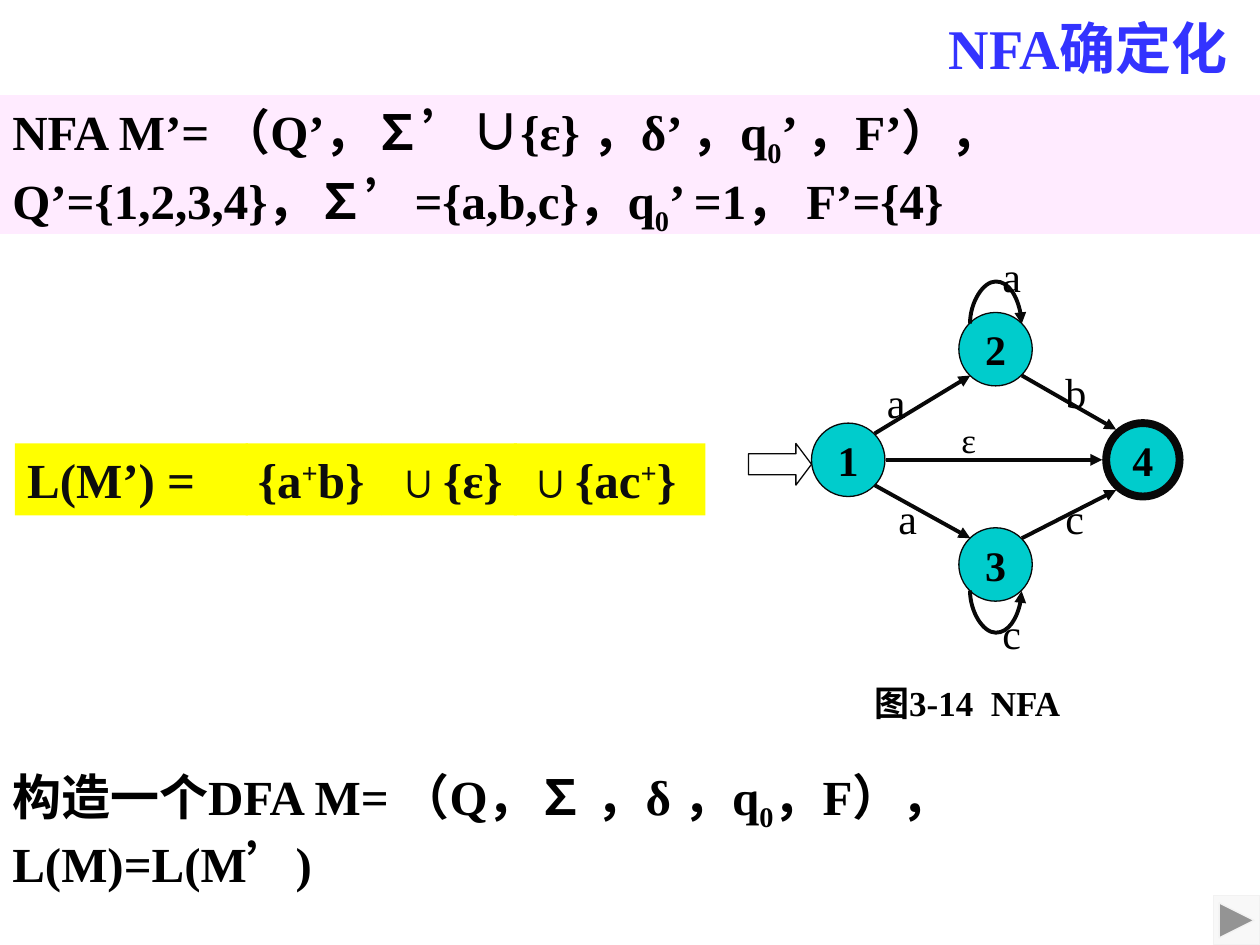
"""Build the slide on making an NFA deterministic, with its state diagram."""
from lxml import etree
from pptx import Presentation, util as u
from pptx.dml.color import RGBColor
from pptx.enum import shapes, text
from pptx.oxml.ns import qn

color = RGBColor.from_string


def write(shape, lines, size, ink="000000", bold=True, baseline=0, wrap=True):
    """Fill a shape with lines; every second part between bars is raised or lowered."""
    frame = shape.text_frame
    frame.word_wrap = wrap
    frame.vertical_anchor = text.MSO_ANCHOR.TOP
    for index, line in enumerate(lines):
        para = frame.paragraphs[0] if index == 0 else frame.add_paragraph()
        para.alignment = text.PP_ALIGN.LEFT
        for number, part in enumerate(line.split("|")):
            span = para.add_run()
            span.text = part
            span.font.size = u.Pt(size)
            span.font.bold = bold
            span.font.name = "Times New Roman"
            span.font.color.rgb = color(ink)
            props = span._r.get_or_add_rPr()
            etree.SubElement(props, qn("a:ea"), typeface="Noto Sans CJK SC")
            if number % 2:
                props.set("baseline", str(baseline))


def draw(kind, left, top, width, height, fill=None, line=None, weight=0.75):
    """Add a preset shape, measured in centimetres, without a shadow."""
    shape = page.shapes.add_shape(kind, u.Cm(left), u.Cm(top), u.Cm(width), u.Cm(height))
    shape.shadow.inherit = False
    if fill:
        shape.fill.solid()
        shape.fill.fore_color.rgb = color(fill)
    else:
        shape.fill.background()
    if line:
        shape.line.color.rgb = color(line)
        shape.line.width = u.Pt(weight)
    else:
        shape.line.fill.background()
    return shape


deck = Presentation()
deck.slide_width, deck.slide_height = u.Cm(25.4), u.Cm(19.05)
page = deck.slides.add_slide(deck.slide_layouts[5])
kinds = shapes.MSO_SHAPE

title = page.shapes.title
title.left, title.top, title.width, title.height = u.Cm(18.87), u.Cm(0), u.Cm(6.53), u.Cm(1.65)
write(title, ["NFA确定化"], 32, "3333FF")
title.text_frame.auto_size = text.MSO_AUTO_SIZE.NONE
title.text_frame.paragraphs[0].line_spacing = 1.1

definition = draw(kinds.RECTANGLE, 0, 1.93, 25.4, 2.77, "FFEBFF", "FFEBFF")
write(definition, ["NFA M’= （Q’，∑’∪{ε} ，δ’ ，q|0|’ ，F’），",
                   "Q’={1,2,3,4}，∑’={a,b,c}，q|0|’ =1， F’={4}"], 28, baseline=-25000)
definition.text_frame.paragraphs[1].space_before = u.Pt(1)

for left, width, words, wrap in [(0.3, 4.7, "L(M’) =", True), (10.36, 3.86, "∪{ac|+|}", False),
                                 (7.7, 2.72, "∪{ε}", False), (4.95, 2.75, "{a|+|b}", False)]:
    box = draw(kinds.RECTANGLE, left, 8.94, width, 1.45, "FFFF00")
    write(box, [words], 28, "0D0D0D", baseline=30000, wrap=wrap)

for state, left, top, weight in [("1", 16.36, 8.53, 0.75), ("2", 19.33, 6.3, 0.75),
                                 ("3", 19.33, 10.64, 0.75), ("4", 22.3, 8.53, 4.5)]:
    circle = draw(kinds.OVAL, left, top, 1.48, 1.48, "00CCCC", "080808", weight)
    write(circle, [state], 24, wrap=False)
    circle.text_frame.vertical_anchor = text.MSO_ANCHOR.MIDDLE
    circle.text_frame.paragraphs[0].alignment = text.PP_ALIGN.CENTER

start = draw(kinds.RIGHT_ARROW, 15.09, 8.94, 1.27, 0.84, line="080808")
start.adjustments[1] = 0.375

straight, curve = shapes.MSO_CONNECTOR.STRAIGHT, shapes.MSO_CONNECTOR.CURVE
for kind, x1, y1, x2, y2, bulge in [
        (straight, 17.86, 9.27, 22.22, 9.27, 0), (straight, 17.63, 8.74, 19.56, 7.57, 0),
        (straight, 17.63, 9.78, 19.56, 10.85, 0), (straight, 20.6, 10.85, 22.5, 9.88, 0),
        (straight, 20.6, 7.57, 22.5, 8.66, 0),
        (curve, 20.07, 7.05, 20.08, 6.01, -85), (curve, 20.07, 12.43, 20.08, 11.39, 85)]:
    arrow = page.shapes.add_connector(kind, u.Cm(x1), u.Cm(y1), u.Cm(x2), u.Cm(y2))
    arrow.line.color.rgb = color("080808")
    arrow.line.width = u.Pt(2.25)
    props = arrow._element.spPr
    etree.SubElement(props.find(qn("a:ln")), qn("a:tailEnd"), type="triangle")
    etree.SubElement(props, qn("a:effectLst"))
    if bulge:
        props.find(qn("a:xfrm")).set("rot", "5400000")
        guides = props.find(qn("a:prstGeom")).find(qn("a:avLst"))
        etree.SubElement(guides, qn("a:gd"), name="adj1", fmla=f"val {bulge * 100000}")

for words, left, top, width, height, size, bold in [
        ("a", 17.86, 9.8, 0.84, 1.27, 24, False), ("a", 19.96, 4.93, 0.84, 1.27, 24, False),
        ("a", 17.63, 7.47, 0.84, 1.27, 24, False), ("c", 21.23, 9.8, 0.84, 1.27, 24, False),
        ("c", 19.96, 12.12, 0.84, 1.27, 24, False), ("b", 21.23, 7.26, 0.84, 1.27, 24, False),
        ("ε", 19.13, 8.31, 1.07, 1.09, 20, False),
        ("图3-14  NFA", 17.37, 13.61, 6.02, 1.12, 20, True),
        ("构造一个DFA M= （Q，∑ ，δ ，q|0|，F），L(M)=L(M’)", 0, 15.32, 25.4, 1.45, 28, True)]:
    label = page.shapes.add_textbox(u.Cm(left), u.Cm(top), u.Cm(width), u.Cm(height))
    write(label, [words], size, bold=bold, baseline=-25000)

draw(kinds.ACTION_BUTTON_FORWARD_OR_NEXT, 24.46, 18.06, 0.94, 0.99, "F8F8F8", "F2F2F2")

deck.save("out.pptx")
